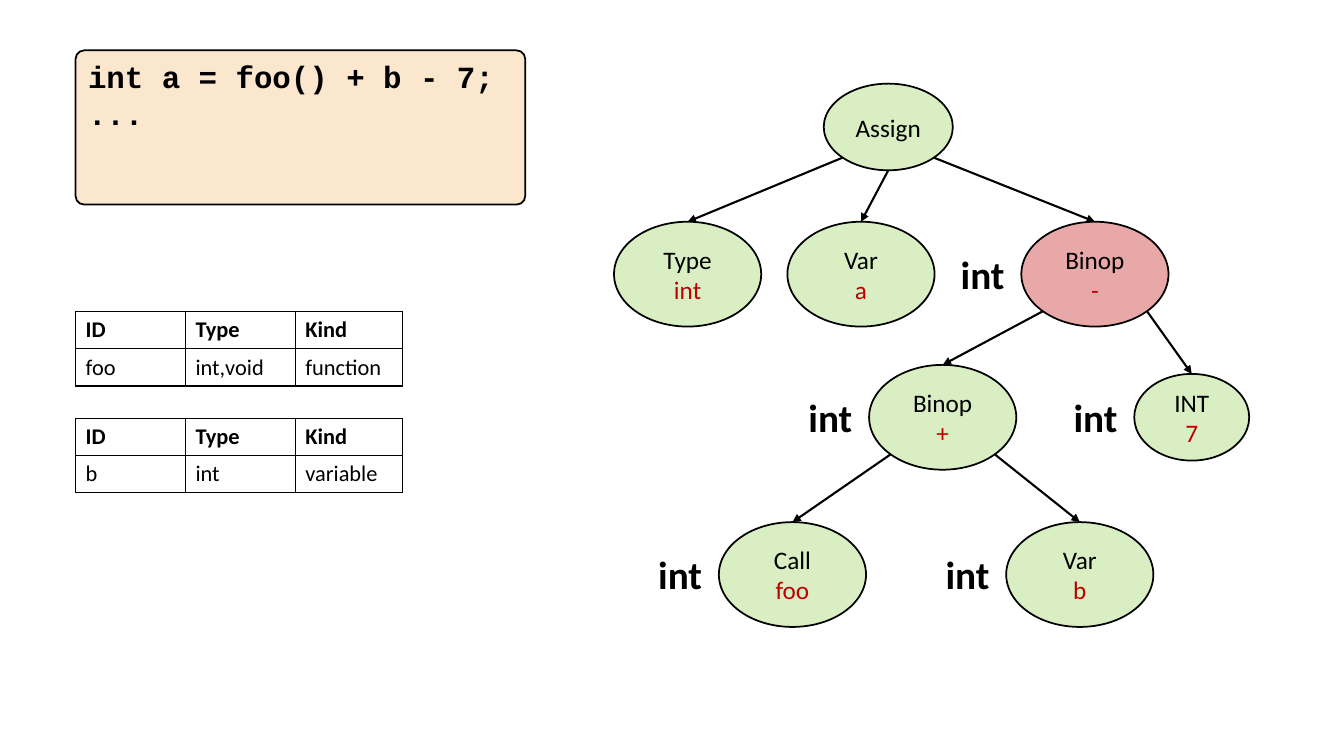
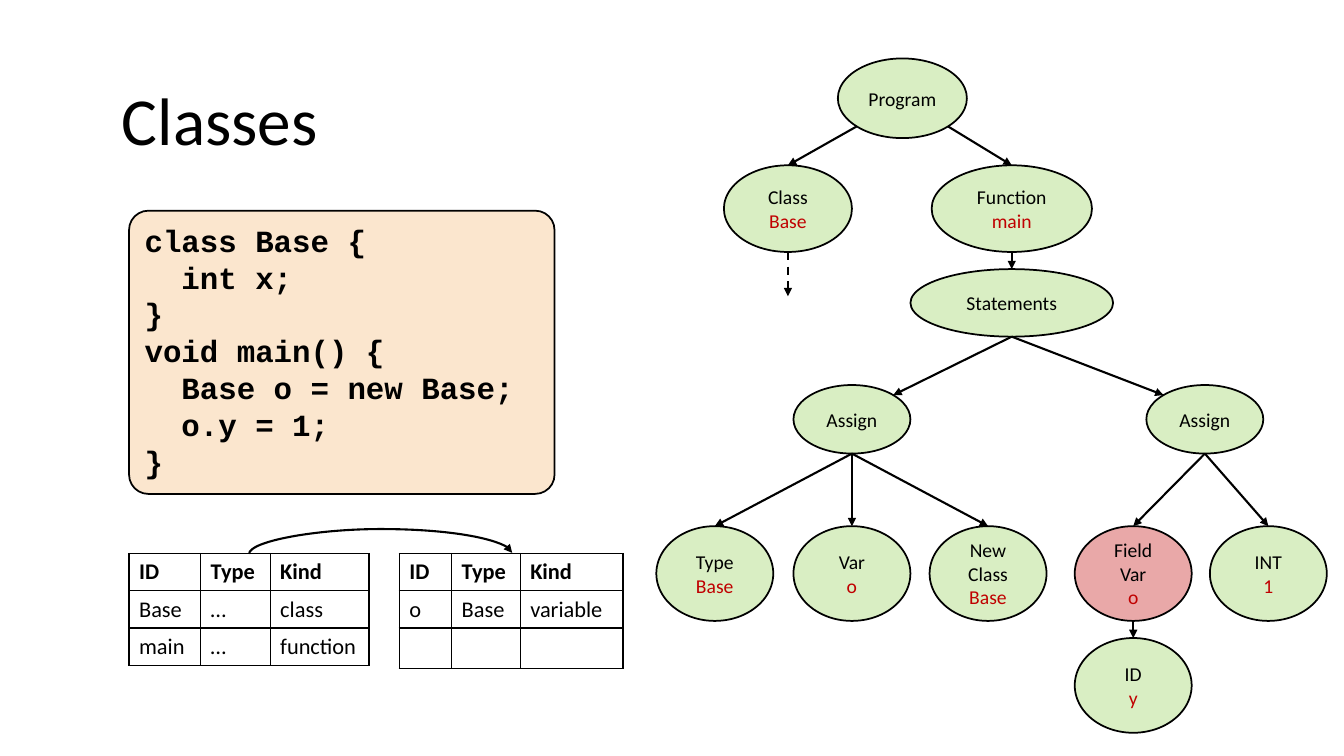
import math
from dataclasses import dataclass
from typing import Optional

import lxml.etree
import pptx
import pptx.dml.color
import pptx.enum.dml
import pptx.enum.shapes
import pptx.enum.text
import pptx.oxml.ns
import pptx.util

Inches = pptx.util.Inches
Pt = pptx.util.Pt
qn = pptx.oxml.ns.qn
SHAPE = pptx.enum.shapes.MSO_SHAPE
CONNECTOR = pptx.enum.shapes.MSO_CONNECTOR
ALIGN = pptx.enum.text.PP_ALIGN
ANCHOR = pptx.enum.text.MSO_ANCHOR

COLORS = {
    "ink": "000000",
    "paper": "FFFFFF",
    "code": "FBE6CE",
    "node": "92D050",
    "error": "C00000",
    "name": "C00000",
}
BODY_FONT = "Calibri"
CODE_FONT = "Courier New"
TOP, TOP_LEFT, BOTTOM_LEFT, BOTTOM, BOTTOM_RIGHT, TOP_RIGHT = 0, 1, 3, 4, 5, 7
ROW_HEIGHT = 0.37
HEADER = ("ID", "Type", "Kind")


@dataclass(frozen=True)
class Node:
    left: float
    top: float
    width: float
    height: float
    kind: tuple[str, ...]
    name: str = ""
    fill: str = "node"
    type_label: str = ""

    def site(self, index: int) -> tuple[float, float]:
        angle = math.radians(90 + 45 * index)
        return (self.left + self.width / 2 * (1 + math.cos(angle)),
                self.top + self.height / 2 * (1 - math.sin(angle)))


@dataclass(frozen=True)
class Edge:
    parent: str
    child: str
    start: int = BOTTOM
    end: int = TOP


@dataclass(frozen=True)
class CodeBox:
    left: float
    top: float
    width: float
    height: float
    corner: float
    lines: tuple[str, ...]


@dataclass(frozen=True)
class SymbolTable:
    left: float
    top: float
    widths: tuple[float, ...]
    rows: tuple[tuple[str, ...], ...]


def rgb(key: str) -> pptx.dml.color.RGBColor:
    return pptx.dml.color.RGBColor.from_string(COLORS[key])


def sub(parent, tag: str, **attrs: str):
    return lxml.etree.SubElement(parent, qn(tag), attrs)


def add_run(p, text: str, size: float, color: str = "ink",
            bold: bool = False, font: str = BODY_FONT) -> None:
    r = p.add_run()
    r.text = text
    r.font.name = font
    r.font.size = Pt(size)
    r.font.bold = bold
    r.font.color.rgb = rgb(color)


def next_paragraph(tf, index: int):
    return tf.paragraphs[0] if index == 0 else tf.add_paragraph()


def add_box(s, preset, box: tuple[float, ...], fill: str):
    sp = s.shapes.add_shape(preset, *map(Inches, box))
    sp.shadow.inherit = False
    sp.fill.solid()
    sp.fill.fore_color.rgb = rgb(fill)
    sp.line.color.rgb = rgb("ink")
    sp.line.width = Pt(1.25)
    return sp


def add_text(s, box: tuple[float, ...], text: str, size: float,
             bold: bool = False, align=ALIGN.LEFT) -> None:
    tf = s.shapes.add_textbox(*map(Inches, box)).text_frame
    tf.word_wrap = True
    p = tf.paragraphs[0]
    p.alignment = align
    add_run(p, text, size, bold=bold)


def add_code(s, code: CodeBox) -> None:
    sp = add_box(s, SHAPE.ROUNDED_RECTANGLE,
                 (code.left, code.top, code.width, code.height), "code")
    sp.adjustments[0] = code.corner
    tf = sp.text_frame
    tf.vertical_anchor = ANCHOR.TOP
    for i, line in enumerate(code.lines):
        p = next_paragraph(tf, i)
        p.alignment = ALIGN.LEFT
        add_run(p, line, 22, bold=True, font=CODE_FONT)


def add_node(s, node: Node, size: float):
    sp = add_box(s, SHAPE.OVAL,
                 (node.left, node.top, node.width, node.height), node.fill)
    color = sp._element.spPr.find(qn("a:solidFill"))[0]
    sub(color, "a:alpha", val="34000")
    tf = sp.text_frame
    tf.vertical_anchor = ANCHOR.MIDDLE
    lines = [(text, "ink") for text in node.kind]
    if node.name:
        lines.append((node.name, "name"))
    for i, (text, key) in enumerate(lines):
        p = next_paragraph(tf, i)
        p.alignment = ALIGN.CENTER
        add_run(p, text, size, key)
    if node.type_label:
        top = node.top + (node.height - 0.57) / 2
        add_text(s, (node.left - 0.81, top, 0.85, 0.57), node.type_label,
                 28, bold=True, align=ALIGN.CENTER)
    return sp


def add_arrow(s, start: tuple[float, float], end: tuple[float, float],
              dashed: bool = False, kind=CONNECTOR.STRAIGHT):
    c = s.shapes.add_connector(kind, *map(Inches, start + end))
    c.line.color.rgb = rgb("ink")
    c.line.width = Pt(1.5)
    if dashed:
        c.line.dash_style = pptx.enum.dml.MSO_LINE.DASH
    spPr = c._element.spPr
    sub(spPr.find(qn("a:ln")), "a:tailEnd", type="triangle")
    sub(spPr, "a:effectLst")
    return c


def add_arc(s, start_x: float, end_x: float, y: float, rise: float) -> None:
    drop = 0.01
    middle, half = (start_x + end_x) / 2, (end_x - start_x) / 2
    c = add_arrow(s, (middle + drop / 2, y + half),
                  (middle - drop / 2, y - half), kind=CONNECTOR.CURVE)
    spPr = c._element.spPr
    spPr.find(qn("a:xfrm")).set("rot", "5400000")
    guides = spPr.find(qn("a:prstGeom")).find(qn("a:avLst"))
    sub(guides, "a:gd", name="adj1", fmla=f"val {round(rise / drop * 100000)}")


def add_tree(s, nodes: dict[str, Node], edges: list[Edge], size: float) -> None:
    ovals = {key: add_node(s, node, size) for key, node in nodes.items()}
    for e in edges:
        c = add_arrow(s, nodes[e.parent].site(e.start),
                      nodes[e.child].site(e.end))
        ends = c._element.nvCxnSpPr.cNvCxnSpPr
        for tag, key, site in (("a:stCxn", e.parent, e.start),
                               ("a:endCxn", e.child, e.end)):
            sub(ends, tag, id=str(ovals[key].shape_id), idx=str(site))


def add_cell_borders(cell) -> None:
    tcPr = cell._tc.get_or_add_tcPr()
    for side in "LRTB":
        ln = sub(tcPr, f"a:ln{side}", w=str(Pt(1)))
        sub(sub(ln, "a:solidFill"), "a:srgbClr", val=COLORS["ink"])


def add_symbols(s, symbols: SymbolTable) -> None:
    rows = (HEADER,) + symbols.rows
    table = s.shapes.add_table(
        len(rows), len(HEADER), Inches(symbols.left), Inches(symbols.top),
        Inches(sum(symbols.widths)), Inches(ROW_HEIGHT * len(rows))).table
    table.first_row = table.horz_banding = False
    for column, width in zip(table.columns, symbols.widths):
        column.width = Inches(width)
    for i, row in enumerate(rows):
        table.rows[i].height = Inches(ROW_HEIGHT)
        for j, text in enumerate(row):
            cell = table.cell(i, j)
            add_cell_borders(cell)
            cell.fill.solid()
            cell.fill.fore_color.rgb = rgb("paper")
            if text:
                add_run(cell.text_frame.paragraphs[0], text, 16, bold=i == 0)


def add_slide(prs, title: Optional[str] = None):
    s = prs.slides.add_slide(prs.slide_layouts[6])
    if title:
        add_text(s, (1.11, 0.73, 11.09, 0.91), title, 48)
    return s


def build_expression(prs) -> None:
    s = add_slide(prs)
    add_code(s, CodeBox(0.75, 0.5, 4.46, 1.53, 0.056,
                        ("int a = foo() + b - 7;", "...")))
    big, small = (1.46, 1.04), (1.28, 0.86)
    nodes = {
        "assign": Node(8.17, 0.83, *small, ("Assign",)),
        "type": Node(6.09, 2.2, *big, ("Type",), "int"),
        "a": Node(7.81, 2.2, *big, ("Var",), "a"),
        "minus": Node(10.13, 2.2, *big, ("Binop",), "-", "error", "int"),
        "plus": Node(8.62, 3.62, *big, ("Binop",), "+", type_label="int"),
        "seven": Node(11.25, 3.71, 1.14, 0.86, ("INT",), "7", type_label="int"),
        "foo": Node(7.13, 5.18, *big, ("Call",), "foo", type_label="int"),
        "b": Node(9.98, 5.18, *big, ("Var",), "b", type_label="int"),
    }
    edges = [Edge("assign", "a")]
    for parent, left, right in (("assign", "type", "minus"),
                                ("minus", "plus", "seven"),
                                ("plus", "foo", "b")):
        edges += [Edge(parent, left, BOTTOM_LEFT),
                  Edge(parent, right, BOTTOM_RIGHT)]
    add_tree(s, nodes, edges, 18)
    widths = (1.09, 1.09, 1.06)
    add_symbols(s, SymbolTable(0.75, 3.09, widths,
                               (("foo", "int,void", "function"),)))
    add_symbols(s, SymbolTable(0.75, 4.15, widths,
                               (("b", "int", "variable"),)))


def build_classes(prs) -> None:
    s = add_slide(prs, "Classes")
    add_code(s, CodeBox(1.28, 2.09, 4.22, 2.81, 0.068, (
        "class Base {", "  int x;", "}", "void main() {",
        "  Base o = new Base;", "  o.y = 1;", "}")))
    leaf, assign = (1.16, 0.94), (1.16, 0.68)
    nodes = {
        "program": Node(8.31, 0.58, 1.28, 0.79, ("Program",)),
        "class": Node(7.18, 1.64, 1.27, 0.86, ("Class",), "Base"),
        "main": Node(9.24, 1.64, 1.59, 0.86, ("Function",), "main"),
        "body": Node(9.03, 2.67, 2.01, 0.67, ("Statements",)),
        "create": Node(7.87, 3.82, *assign, ("Assign",)),
        "store": Node(11.37, 3.82, *assign, ("Assign",)),
        "type": Node(6.51, 5.22, *leaf, ("Type",), "Base"),
        "o": Node(7.87, 5.22, *leaf, ("Var",), "o"),
        "new": Node(9.22, 5.22, *leaf, ("New", "Class"), "Base"),
        "field": Node(10.66, 5.22, *leaf, ("Field", "Var"), "o", "error"),
        "one": Node(12, 5.22, *leaf, ("INT",), "1"),
        "y": Node(10.66, 6.33, *leaf, ("ID",), "y"),
    }
    edges = [
        Edge("program", "class", BOTTOM_LEFT),
        Edge("program", "main", BOTTOM_RIGHT),
        Edge("main", "body"),
        Edge("body", "create", end=TOP_RIGHT),
        Edge("body", "store", end=TOP_LEFT),
        Edge("create", "type"),
        Edge("create", "o"),
        Edge("create", "new"),
        Edge("store", "field"),
        Edge("store", "one"),
        Edge("field", "y"),
    ]
    add_tree(s, nodes, edges, 14)
    x, y = nodes["class"].site(BOTTOM)
    add_arrow(s, (x, y), (x, y + 0.44), dashed=True)
    add_symbols(s, SymbolTable(1.28, 5.49, (0.71, 0.69, 0.98), (
        ("Base", "…", "class"), ("main", "…", "function"))))
    add_symbols(s, SymbolTable(3.96, 5.49, (0.52, 0.68, 1.02), (
        ("o", "Base", "variable"), ("", "", ""))))
    add_arc(s, 2.47, 5.08, 5.49, 0.25)


def main() -> None:
    prs = pptx.Presentation()
    prs.slide_width, prs.slide_height = Inches(13.33), Inches(7.5)
    build_expression(prs)
    build_classes(prs)
    prs.save("out.pptx")


if __name__ == "__main__":
    main()
